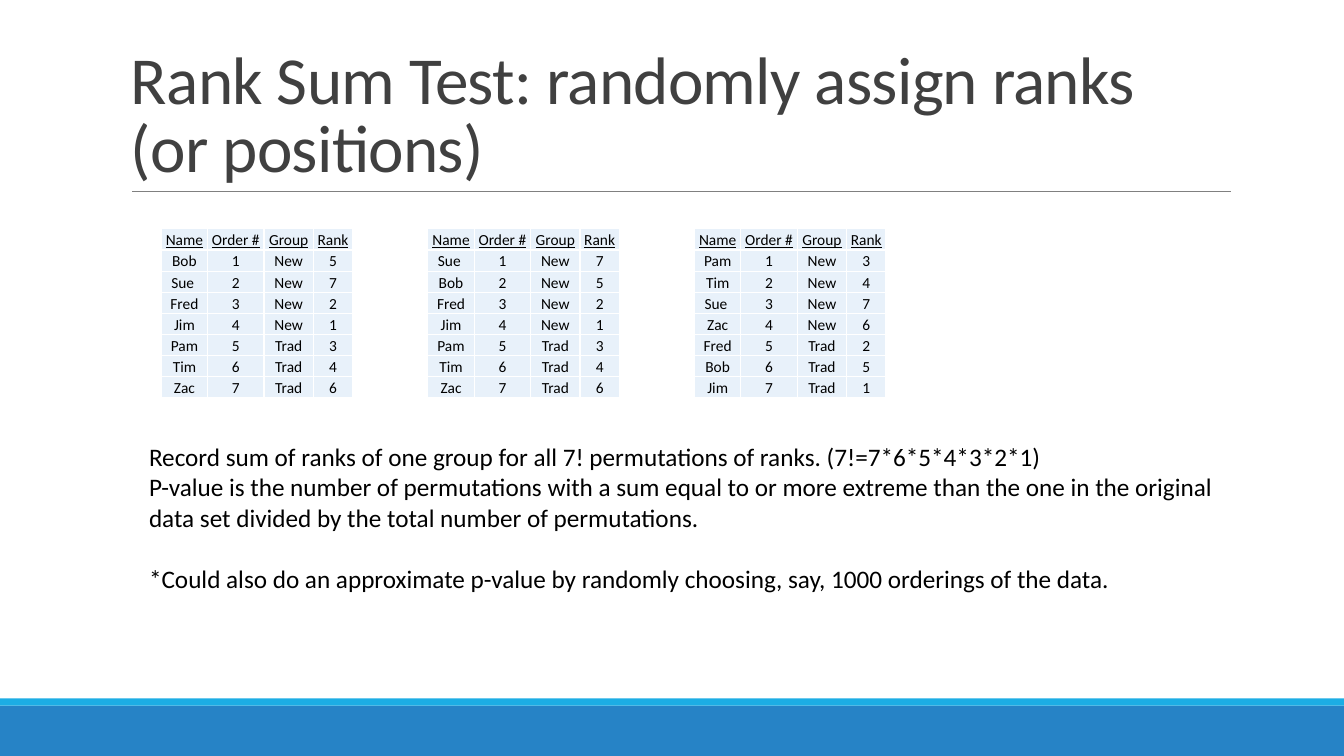
from dataclasses import dataclass

from lxml import etree
from pptx import Presentation
from pptx import util as u
from pptx.dml import color
from pptx.enum import shapes, text
from pptx.oxml import ns

COLOURS = {
    "band": "2683C6", "stripe": "1CADE4", "rule": "808080", "title": "404040",
    "ink": "000000", "cell": "E8F1FA", "border": "FFFFFF",
}
FONT = "Calibri"

# Grid: ten columns and ten rows to the inch
PAGE_COLUMNS, PAGE_ROWS = 133.33, 75
TABLE_LEFT, TABLE_TOP, TABLE_STEP = 16, 22.7, 26.45
TABLE_COLUMNS = (4.6, 5.6, 4.9, 3.9)
TABLE_ROW = 2.1

# The rank of each person; the first four positions form the new group
HEADINGS = ("Name", "Order #", "Group", "Rank")
RANKS = {"Bob": 5, "Sue ": 7, "Fred": 2, "Jim": 1, "Pam": 3, "Tim": 4, "Zac": 6}
NEW_GROUP_SIZE = 4
ORDERINGS = (
    ("Bob", "Sue ", "Fred", "Jim", "Pam", "Tim", "Zac"),
    ("Sue ", "Bob", "Fred", "Jim", "Pam", "Tim", "Zac"),
    ("Pam", "Tim", "Sue ", "Zac", "Fred", "Bob", "Jim"),
)


@dataclass(frozen=True)
class Area:
    column: float
    row: float
    columns: float
    rows: float

    def lengths(self) -> tuple:
        return tuple(map(grid, (self.column, self.row, self.columns, self.rows)))


@dataclass(frozen=True)
class Bar:
    area: Area
    colour: str


@dataclass(frozen=True)
class TextBlock:
    area: Area
    paragraphs: tuple
    size: float
    colour: str
    anchor: text.MSO_ANCHOR = text.MSO_ANCHOR.TOP
    line_spacing: float = 1.0
    tracking: int = 0
    last_gap: float = 0


BARS = (
    Bar(Area(0, 70, PAGE_COLUMNS, 5), "band"),
    Bar(Area(0, 69.3, PAGE_COLUMNS, 0.7), "stripe"),
)
TEXTS = (
    TextBlock(
        Area(12, 3.1, 110, 15.9),
        ("Rank Sum Test: randomly assign ranks \n(or positions)",),
        48, "title", text.MSO_ANCHOR.BOTTOM, 0.85, -50,
    ),
    TextBlock(
        Area(13.8, 43.3, 110.1, 16.2),
        (
            "Record sum of ranks of one group for all 7! permutations of ranks. (7!=7*6*5*4*3*2*1)",
            "P-value is the number of permutations with a sum equal to or more extreme than "
            "the one in the original data set divided by the total number of permutations.",
            "*Could also do an approximate p-value by randomly choosing, say, 1000 orderings of the data.",
        ),
        18, "ink", last_gap=22,
    ),
)


def grid(steps: float) -> int:
    return u.Inches(steps / 10)


def rgb(name: str) -> color.RGBColor:
    return color.RGBColor.from_string(COLOURS[name])


def format_spans(para, size: float, colour: str, underline: bool = False) -> None:
    for span in para.runs:
        span.font.name = FONT
        span.font.size = u.Pt(size)
        span.font.color.rgb = rgb(colour)
        span.font.underline = underline


def draw_bar(page, bar: Bar) -> None:
    box = page.shapes.add_shape(shapes.MSO_SHAPE.RECTANGLE, *bar.area.lengths())
    box.shadow.inherit = False
    box.fill.solid()
    box.fill.fore_color.rgb = rgb(bar.colour)
    box.line.fill.background()


def draw_rule(page, left: float, right: float, row: float) -> None:
    rule = page.shapes.add_connector(
        shapes.MSO_CONNECTOR.STRAIGHT, grid(left), grid(row), grid(right), grid(row))
    rule.line.color.rgb = rgb("rule")
    rule.line.width = u.Pt(0.5)
    etree.SubElement(rule._element.spPr, ns.qn("a:effectLst"))


def draw_text(page, block: TextBlock) -> None:
    frame = page.shapes.add_textbox(*block.area.lengths()).text_frame
    frame.word_wrap = True
    frame.vertical_anchor = block.anchor
    for index, wording in enumerate(block.paragraphs):
        para = frame.add_paragraph() if index else frame.paragraphs[0]
        para.text = wording
        para.line_spacing = block.line_spacing
        format_spans(para, block.size, block.colour)
        for span in para.runs:
            span.font._element.set("spc", str(block.tracking))
    frame.paragraphs[-1].space_before = u.Pt(block.last_gap)


def add_borders(cell) -> None:
    properties = cell._tc.get_or_add_tcPr()
    for side in ("lnL", "lnR", "lnT", "lnB"):
        line = etree.SubElement(properties, ns.qn(f"a:{side}"), w=str(u.Pt(1)))
        fill = etree.SubElement(line, ns.qn("a:solidFill"))
        etree.SubElement(fill, ns.qn("a:srgbClr"), val=COLOURS["border"])


def fill_cell(cell, wording: str, heading: bool) -> None:
    cell.text_frame.text = wording
    cell.vertical_anchor = text.MSO_ANCHOR.BOTTOM
    cell.margin_left = cell.margin_right = cell.margin_top = u.Inches(0.01)
    cell.margin_bottom = 0
    para = cell.text_frame.paragraphs[0]
    para.alignment = text.PP_ALIGN.CENTER
    format_spans(para, 11, "ink", heading)
    add_borders(cell)
    cell.fill.solid()
    cell.fill.fore_color.rgb = rgb("cell")


def draw_ordering(page, left: float, names: tuple) -> None:
    records = [HEADINGS]
    for order, name in enumerate(names, 1):
        group = "New" if order <= NEW_GROUP_SIZE else "Trad"
        records.append((name, str(order), group, str(RANKS[name])))
    area = Area(left, TABLE_TOP, sum(TABLE_COLUMNS), TABLE_ROW * len(records))
    table = page.shapes.add_table(len(records), len(HEADINGS), *area.lengths()).table
    table.first_row = table.horz_banding = False
    for column, width in zip(table.columns, TABLE_COLUMNS):
        column.width = grid(width)
    for row_index, record in enumerate(records):
        table.rows[row_index].height = grid(TABLE_ROW)
        for column_index, wording in enumerate(record):
            fill_cell(table.cell(row_index, column_index), wording, row_index == 0)


def main() -> None:
    deck = Presentation()
    deck.slide_width, deck.slide_height = grid(PAGE_COLUMNS), grid(PAGE_ROWS)
    page = deck.slides.add_slide(deck.slide_layouts[6])

    # Footer bars and the rule under the title
    for bar in BARS:
        draw_bar(page, bar)
    draw_rule(page, 13.1, 122.1, 19)

    # Title and explanation
    for block in TEXTS:
        draw_text(page, block)

    # One table for each ordering
    for index, names in enumerate(ORDERINGS):
        draw_ordering(page, TABLE_LEFT + index * TABLE_STEP, names)

    deck.save("out.pptx")


if __name__ == "__main__":
    main()
